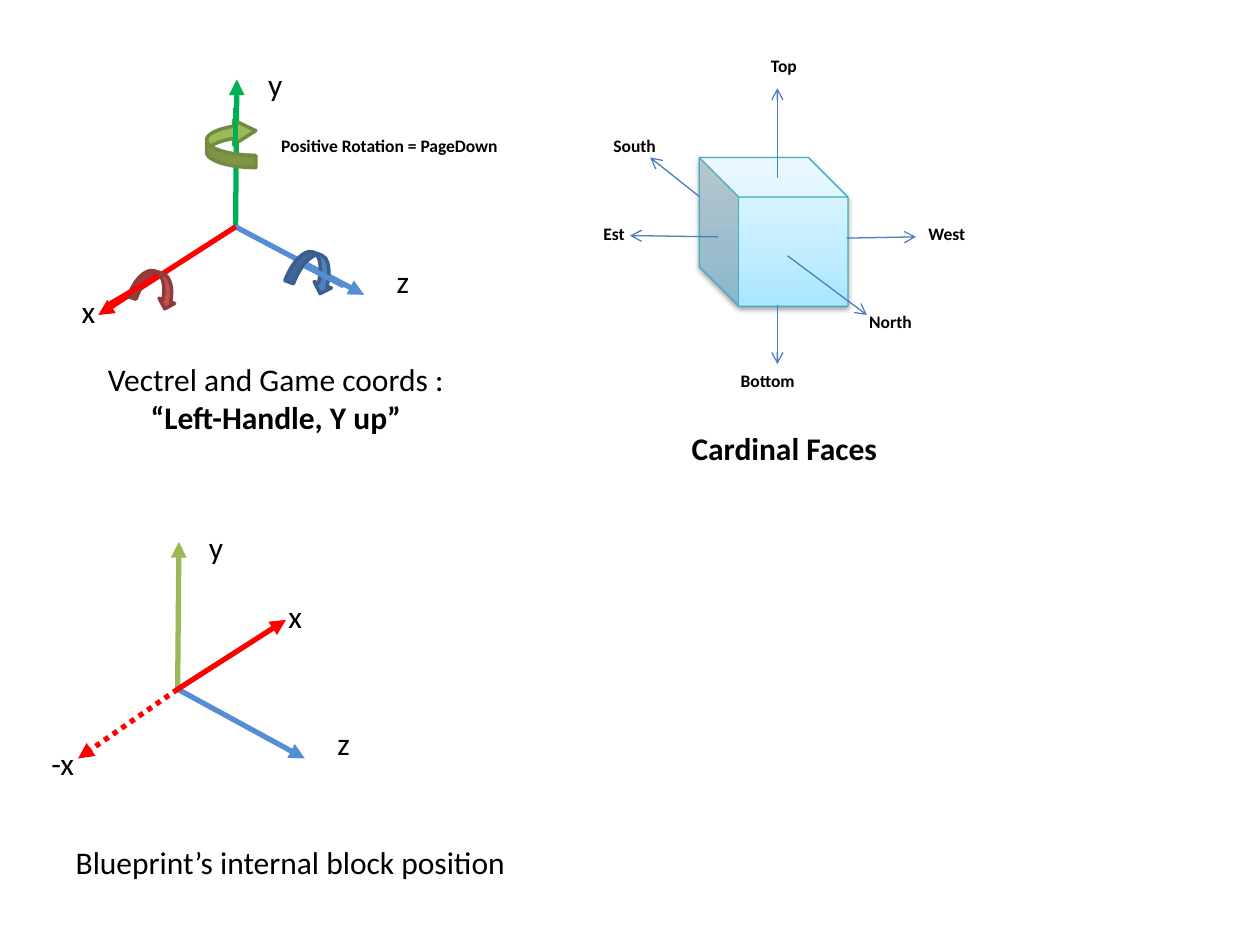
import copy
from typing import NamedTuple, Optional

import pptx
import pptx.dml.color
import pptx.enum.dml
import pptx.enum.shapes
import pptx.enum.text
import pptx.oxml
import pptx.oxml.ns
import pptx.util
from pptx.util import Inches

RED, GREEN, BLUE = "FF0000", "00B050", "558ED5"
SHAPE = pptx.enum.shapes.MSO_SHAPE
ALIGN = pptx.enum.text.PP_ALIGN
DRAWING_NS = pptx.oxml.ns.nsdecls("a")
Point = tuple[float, float]


class Arrow(NamedTuple):
    start: Point
    end: Point
    color: str
    width: float = 3
    head: Optional[str] = "triangle"
    dotted: bool = False


class Label(NamedTuple):
    lines: tuple[str, ...]
    left: float
    top: float
    width: float
    height: float = 0.4
    size: float = 18
    bold_lines: tuple[int, ...] = ()
    align: ALIGN = ALIGN.LEFT


class RotationMark(NamedTuple):
    preset: SHAPE
    box: tuple[float, float, float, float]
    fill: str
    outline: str
    angle: float = 0
    flipped: bool = False
    adjustments: tuple[float, ...] = ()


GAME_ORIGIN, BLOCK_ORIGIN = (1.87, 1.8), (1.41, 5.47)

GAME_AXES = [
    Arrow(GAME_ORIGIN, (1.88, 0.63), GREEN),
    Arrow(GAME_ORIGIN, (2.89, 2.34), BLUE),
    Arrow(GAME_ORIGIN, (0.78, 2.5), RED),
]
BLOCK_AXES = [
    Arrow(BLOCK_ORIGIN, (1.42, 4.3), "98B955"),
    Arrow(BLOCK_ORIGIN, (2.42, 6.02), BLUE),
    Arrow(BLOCK_ORIGIN, (0.62, 6.02), RED, dotted=True),
    Arrow(BLOCK_ORIGIN, (2.27, 4.92), RED),
]
FACE_ARROWS = [
    Arrow(start, end, "4B7EBC", 0.75, "arrow")
    for start, end in [
        ((6.17, 1.41), (6.17, 0.7)),
        ((5.7, 1.88), (5, 1.87)),
        ((6.72, 1.89), (7.27, 1.88)),
        ((6.17, 2.42), (6.17, 2.89)),
        ((6.25, 2.03), (6.88, 2.5)),
        ((5.55, 1.56), (5.16, 1.25)),
    ]
]
ROTATION_MARKS = [
    RotationMark(SHAPE.CURVED_LEFT_ARROW, (1.64, 0.94, 0.39, 0.39), "9BBB59", "738A42",
                 flipped=True, adjustments=(0.25, 0.5, 0.45)),
    RotationMark(SHAPE.CURVED_DOWN_ARROW, (2.3, 2.01, 0.37, 0.29), "4F81BD", "3A5F8C", 20.3),
    RotationMark(SHAPE.CURVED_DOWN_ARROW, (1.05, 2.16, 0.37, 0.26), "C0504D", "8E3B39", 18.5),
]
# Axis segments that pass in front of the rotation marks
AXIS_OVERLAYS = [
    Arrow((2.42, 2.11), (2.73, 2.27), BLUE, head=None),
    Arrow((1.25, 2.19), (0.86, 2.42), RED, head=None),
    Arrow((1.87, 0.86), (1.87, 1.17), GREEN, head=None),
]
AXIS_LABELS = [
    Label((name,), left, top, width)
    for name, left, top, width in [
        ("y", 2.03, 0.47, 0.23), ("z", 3.05, 2.03, 0.39), ("x", 0.55, 2.27, 0.23),
        ("y", 1.56, 4.14, 0.23), ("z", 2.58, 5.7, 0.39), ("x", 2.19, 4.69, 0.23),
        ("-x", 0.31, 5.86, 0.55),
    ]
]
FACE_LABELS = [
    Label((name,), left, top, width, 0.27, 10, (0,))
    for name, left, top, width in [
        ("West", 7.27, 1.72, 0.86), ("Est", 4.69, 1.72, 0.7), ("North", 6.8, 2.42, 1.25),
        ("South", 4.77, 1.02, 1.25), ("Top", 6.02, 0.39, 1.25), ("Bottom", 5.78, 2.89, 1.25),
    ]
]
CAPTIONS = [
    Label(("Vectrel and Game coords :", "“Left-Handle, Y up”"), 0.16, 2.81, 4.06, 0.71,
          bold_lines=(1,), align=ALIGN.CENTER),
    Label(("Cardinal Faces",), 5.39, 3.36, 2.03, bold_lines=(0,)),
    Label(("Blueprint’s internal block position",), 0.39, 6.64, 3.83, align=ALIGN.CENTER),
    Label(("Positive Rotation = PageDown",), 1.8, 1.02, 2.58, 0.27, 10, (0,), ALIGN.CENTER),
]


def rgb(color: str) -> pptx.dml.color.RGBColor:
    return pptx.dml.color.RGBColor.from_string(color)


def draw_arrow(slide, arrow: Arrow) -> None:
    connector = slide.shapes.add_connector(
        pptx.enum.shapes.MSO_CONNECTOR.STRAIGHT,
        *(Inches(value) for value in arrow.start + arrow.end))
    connector.line.color.rgb = rgb(arrow.color)
    connector.line.width = pptx.util.Pt(arrow.width)
    if arrow.dotted:
        connector.line.dash_style = pptx.enum.dml.MSO_LINE.ROUND_DOT
    if arrow.head:
        connector.line._get_or_add_ln().append(
            pptx.oxml.parse_xml(f'<a:tailEnd {DRAWING_NS} type="{arrow.head}"/>'))
    connector._element.spPr.append(pptx.oxml.parse_xml(f"<a:effectLst {DRAWING_NS}/>"))


def draw_label(slide, label: Label) -> None:
    box = slide.shapes.add_textbox(Inches(label.left), Inches(label.top),
                                   Inches(label.width), Inches(label.height))
    frame = box.text_frame
    frame.word_wrap = True
    frame.auto_size = pptx.enum.text.MSO_AUTO_SIZE.SHAPE_TO_FIT_TEXT
    frame.text = "\n".join(label.lines)
    for index, paragraph in enumerate(frame.paragraphs):
        paragraph.alignment = label.align
        paragraph.font.name = "Calibri"
        paragraph.font.size = pptx.util.Pt(label.size)
        paragraph.font.bold = index in label.bold_lines
        paragraph.font.color.rgb = rgb("000000")


def add_outlined(slide, preset: SHAPE, box: tuple[float, ...], outline: str, width: float):
    """Add a preset shape without shadow, its outline set and its fill left open."""
    shape = slide.shapes.add_shape(preset, *(Inches(value) for value in box))
    shape.shadow.inherit = False
    shape.line.color.rgb = rgb(outline)
    shape.line.width = pptx.util.Pt(width)
    return shape


def flip(shape, *directions: str) -> None:
    for direction in directions:
        shape._element.spPr.find(pptx.oxml.ns.qn("a:xfrm")).set(direction, "1")


def draw_rotation_mark(slide, mark: RotationMark) -> None:
    shape = add_outlined(slide, mark.preset, mark.box, mark.outline, 2)
    shape.fill.solid()
    shape.fill.fore_color.rgb = rgb(mark.fill)
    shape.rotation = mark.angle
    for index, value in enumerate(mark.adjustments):
        shape.adjustments[index] = value
    if mark.flipped:
        flip(shape, "flipH", "flipV")


def draw_cube(slide) -> None:
    cube = add_outlined(slide, SHAPE.CUBE, (5.55, 1.25, 1.18, 1.18), "46AAC5", 0.75)
    cube.adjustments[0] = 0.266
    flip(cube, "flipH")

    cube.fill.gradient()
    cube.fill.gradient_angle = 90
    properties = cube._element.spPr
    stop_list = properties.find(".//" + pptx.oxml.ns.qn("a:gsLst"))
    stop_list.append(copy.deepcopy(stop_list[0]))
    shades = [(0, "A7E6FF"), (0.35, "C1EDFF"), (1, "E7F8FF")]
    for stop, (position, color) in zip(cube.fill.gradient_stops, shades):
        stop.position = position
        stop.color.rgb = rgb(color)

    properties.find(pptx.oxml.ns.qn("a:effectLst")).append(pptx.oxml.parse_xml(
        f'<a:outerShdw {DRAWING_NS} blurRad="{pptx.util.Pt(3.1)}" dist="{pptx.util.Pt(1.6)}" '
        'dir="5400000" rotWithShape="0"><a:srgbClr val="000000"><a:alpha val="38000"/>'
        "</a:srgbClr></a:outerShdw>"))


def main() -> None:
    presentation = pptx.Presentation()
    presentation.slide_width, presentation.slide_height = Inches(10), Inches(7.5)
    slide = presentation.slides.add_slide(presentation.slide_layouts[6])

    draw_cube(slide)
    for arrow in GAME_AXES + FACE_ARROWS + BLOCK_AXES:
        draw_arrow(slide, arrow)
    for mark in ROTATION_MARKS:
        draw_rotation_mark(slide, mark)
    for segment in AXIS_OVERLAYS:
        draw_arrow(slide, segment)
    for label in AXIS_LABELS + FACE_LABELS + CAPTIONS:
        draw_label(slide, label)

    presentation.save("out.pptx")


if __name__ == "__main__":
    main()
